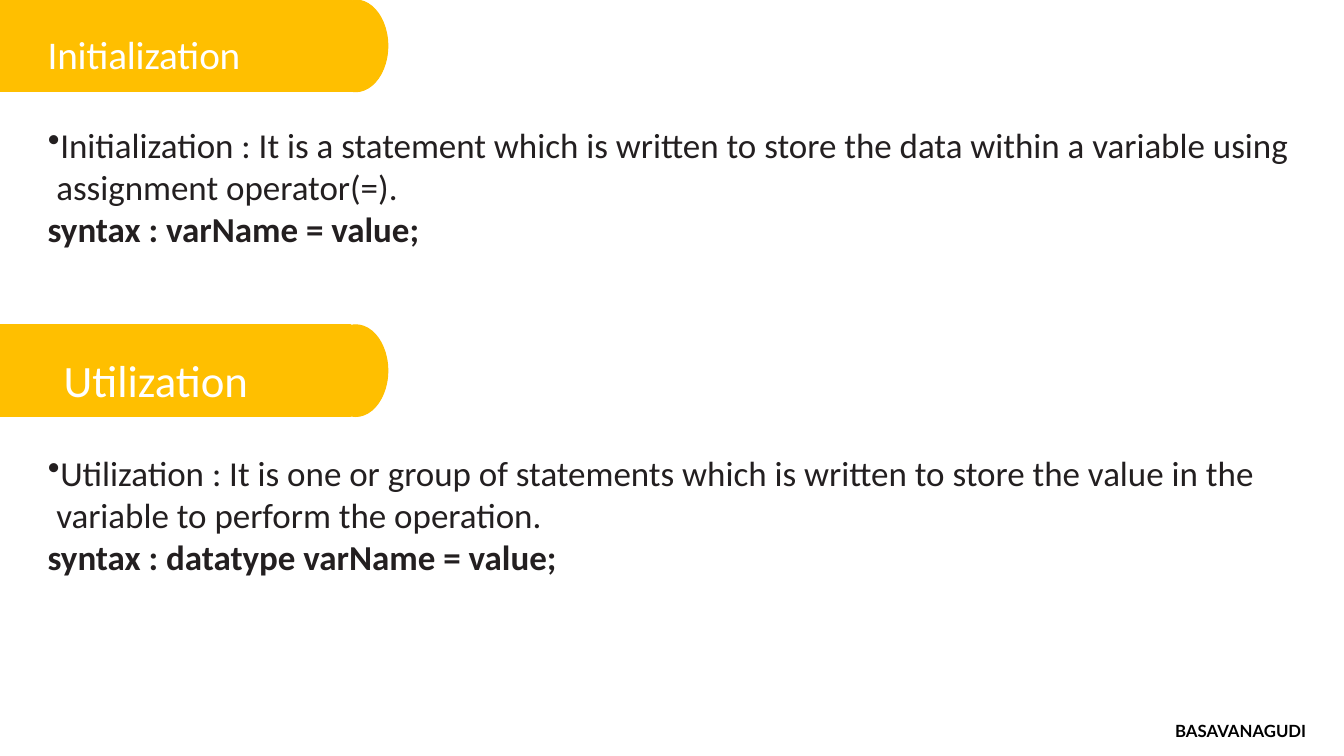
from dataclasses import dataclass

from lxml import etree
from pptx import Presentation
from pptx.dml.color import RGBColor
from pptx.enum.shapes import MSO_SHAPE as SHAPE
from pptx.enum.text import MSO_ANCHOR as ANCHOR, MSO_AUTO_SIZE as FIT, PP_ALIGN as ALIGN
from pptx.oxml.ns import qn
from pptx.util import Pt


@dataclass(frozen=True)
class Theme:
    amber: str = "FFBF00"
    white: str = "FFFFFF"
    ink: str = "231F20"
    black: str = "000000"
    font: str = "Calibri"
    footer_font: str = "Lato"
    title: int = 28
    heading: int = 32
    body: int = 25
    footer: int = 12


def write(p, text, size, color, font, bold=False, spacing=0):
    r = p.add_run()
    r.text = text
    r.font.size, r.font.name, r.font.bold = Pt(size), font, bold
    r.font.color.rgb = RGBColor.from_string(color)
    if spacing:
        r.font._element.set("spc", str(round(spacing * 100)))


def add_bullet(p, margin, hanging):
    pPr = p._p.get_or_add_pPr()
    pPr.set("marL", str(Pt(margin)))
    pPr.set("indent", str(-Pt(hanging)))
    etree.SubElement(pPr, qn("a:buChar")).set("char", "•")
    tabs = etree.SubElement(pPr, qn("a:tabLst"))
    tab = etree.SubElement(tabs, qn("a:tab"))
    tab.set("pos", str(Pt(hanging)))
    tab.set("algn", "l")


class SlideBuilder:
    def __init__(self, prs, theme):
        self.theme = theme
        self.s = prs.slides.add_slide(prs.slide_layouts[5])

    def shape(self, kind, *box):
        sp = self.s.shapes.add_shape(kind, *map(Pt, box))
        sp.shadow.inherit = False
        sp.fill.solid()
        sp.fill.fore_color.rgb = RGBColor.from_string(self.theme.amber)
        sp.line.color.rgb = RGBColor.from_string(self.theme.amber)
        sp.line.width = Pt(0.75)

    def banner(self, top):
        self.shape(SHAPE.RECTANGLE, 0, top, 250.5, 65.5)
        self.shape(SHAPE.OVAL, 231, top, 46, 65.5)

    def frame(self, sp, inset=0):
        tf = sp.text_frame
        tf.word_wrap, tf.auto_size = True, FIT.NONE
        tf.vertical_anchor = ANCHOR.TOP
        tf.margin_left = tf.margin_right = tf.margin_top = tf.margin_bottom = Pt(inset)
        return tf

    def text_box(self, *box, inset=0):
        return self.frame(self.s.shapes.add_textbox(*map(Pt, box)), inset)

    def title(self, text, *box):
        sp = self.s.shapes.title
        sp.left, sp.top, sp.width, sp.height = map(Pt, box)
        # Bring the title in front of its banner
        sp._element.getparent().append(sp._element)
        p = self.frame(sp).paragraphs[0]
        p.alignment = ALIGN.LEFT
        t = self.theme
        write(p, text, t.title, t.white, t.font, spacing=-0.1)

    def heading(self, text, *box):
        t = self.theme
        write(self.text_box(*box).paragraphs[0], text, t.heading, t.white, t.font)

    def definition(self, text, syntax, top):
        t = self.theme
        tf = self.text_box(34, top, 915, 92)
        p = tf.paragraphs[0]
        add_bullet(p, 6.25, 6)
        write(p, text, t.body, t.ink, t.font)
        write(tf.add_paragraph(), syntax, t.body, t.ink, t.font, bold=True)

    def footer(self, text, *box):
        t = self.theme
        p = self.text_box(*box, inset=2).paragraphs[0]
        p.alignment = ALIGN.CENTER
        write(p, text, t.footer, t.black, t.footer_font, bold=True)


def main():
    prs = Presentation()
    prs.slide_width, prs.slide_height = Pt(960), Pt(540)
    b = SlideBuilder(prs, Theme())

    # Initialization
    b.banner(0)
    b.title("Initialization", 34, 21.5, 277, 35)
    b.definition("Initialization : It is a statement which is written to store the data "
                 "within a variable using assignment operator(=).",
                 "syntax : varName = value;", 88)

    # Utilization
    b.banner(232)
    b.heading("Utilization", 45.5, 252, 277, 39)
    b.definition("Utilization : It is one or group of statements which is written to store "
                 "the value in the variable to perform the operation.",
                 "syntax : datatype varName = value;", 322.5)

    # Location
    b.footer("BASAVANAGUDI", 815, 512.5, 142.5, 19)

    prs.save("out.pptx")


if __name__ == "__main__":
    main()
